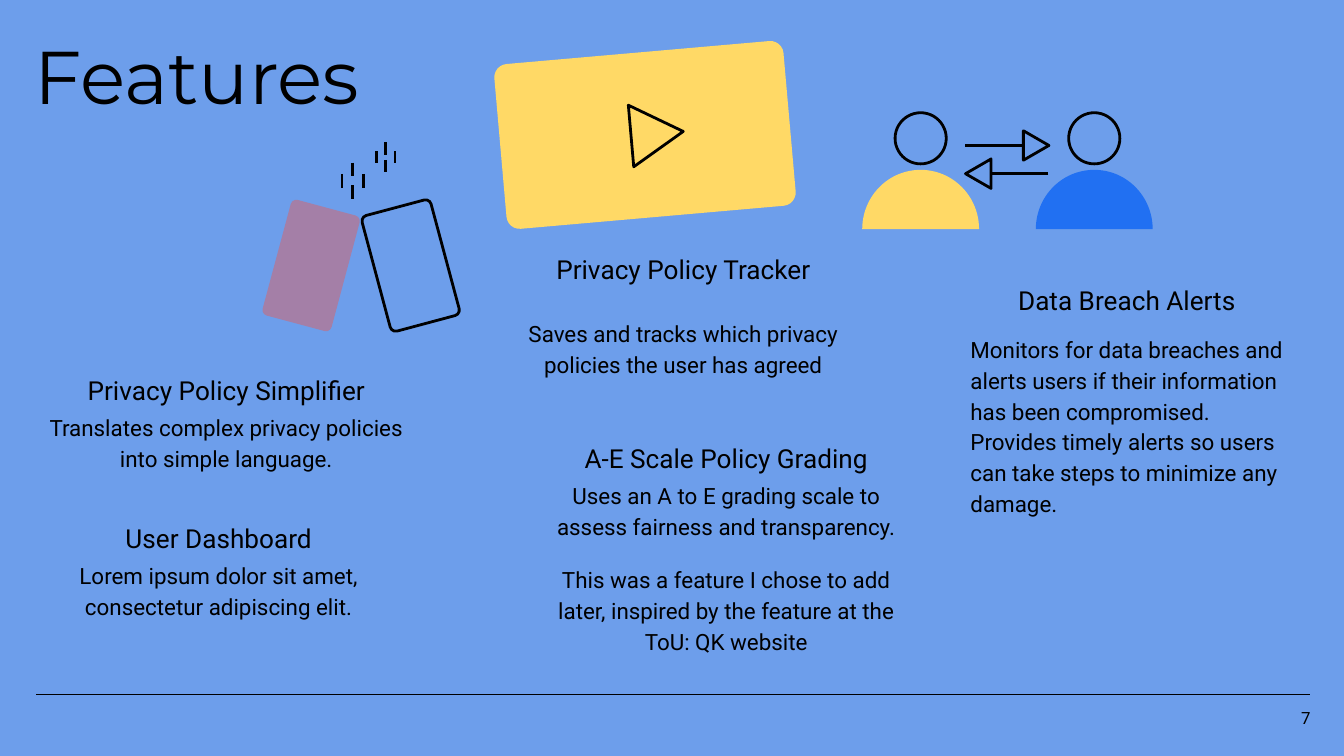
"""Build the Features slide with its captions and line icons."""
from lxml.etree import SubElement
from pptx import Presentation
from pptx.dml.color import RGBColor
from pptx.enum.shapes import MSO_CONNECTOR, MSO_SHAPE as Preset
from pptx.enum.text import MSO_ANCHOR as Anchor, PP_ALIGN as Align
from pptx.oxml.ns import qn
from pptx.util import Pt

SKY = RGBColor(0x6D, 0x9E, 0xEB)
BLACK = RGBColor(0x00, 0x00, 0x00)
YELLOW = RGBColor(0xFF, 0xD9, 0x66)
BLUE = RGBColor(0x21, 0x70, 0xF2)
MAUVE = RGBColor(0xA4, 0x7F, 0xA7)

COLUMN = 203.8
INSET = 7.2
STROKE = 1.5
CORNER = 0.08
PERSON_STEP = 93


def add_text(slide, box, *paragraphs, size=12, font="Roboto", align=Align.CENTER,
             anchor=Anchor.TOP, spacing=1.15, gap=12):
    left, top, width, height = map(Pt, box)
    frame = slide.shapes.add_textbox(left, top, width, height).text_frame
    frame.word_wrap = True
    frame.vertical_anchor = anchor
    frame.margin_left = frame.margin_right = Pt(INSET)
    frame.margin_top = frame.margin_bottom = Pt(INSET)
    for index, wording in enumerate(paragraphs):
        paragraph = frame.add_paragraph() if index else frame.paragraphs[0]
        paragraph.alignment = align
        paragraph.line_spacing = spacing
        paragraph.space_before = Pt(gap if index else 0)
        run = paragraph.add_run()
        run.text = wording
        run.font.size = Pt(size)
        run.font.name = font
        run.font.color.rgb = BLACK


def add_figure(slide, preset, box, fill=None, rotation=0, adjustments=()):
    figure = slide.shapes.add_shape(preset, *map(Pt, box))
    figure.shadow.inherit = False
    figure.rotation = rotation
    for index, value in enumerate(adjustments):
        figure.adjustments[index] = value
    if fill is None:
        figure.fill.background()
        figure.line.color.rgb = BLACK
        figure.line.width = Pt(STROKE)
    else:
        figure.fill.solid()
        figure.fill.fore_color.rgb = fill
        figure.line.fill.background()


def add_line(slide, start, end, width=STROKE):
    line = slide.shapes.add_connector(MSO_CONNECTOR.STRAIGHT, *map(Pt, (*start, *end)))
    line.line.color.rgb = BLACK
    line.line.width = Pt(width)
    SubElement(line._element.spPr, qn("a:effectLst"))


def add_feature(slide, left, top, heading, *details, detail_left=None, offset=21.6,
                detail_width=COLUMN, detail_align=Align.CENTER):
    add_text(slide, (left, top, COLUMN, 24.5), heading, size=14)
    detail_box = (left if detail_left is None else detail_left, top + offset, detail_width, 57.6)
    add_text(slide, detail_box, *details, align=detail_align)


def add_person(slide, left, color):
    add_figure(slide, Preset.PIE, (left, 91.4, 63.4, 62.6), color, 90, (54, 162))
    add_figure(slide, Preset.OVAL, (left + 18, 60.4, 27.4, 27.4))


def add_exchange_arrow(slide, tail, neck, y, head_left, rotation):
    add_line(slide, (tail, y), (neck, y))
    add_figure(slide, Preset.ISOSCELES_TRIANGLE, (head_left, y - 6.7, 15.8, 13.7),
               rotation=rotation, adjustments=(0.5,))


def add_sparkle(slide, center, top, dash, step, reach):
    side = top + step / 2
    for x, y in ((center, top), (center, top + step), (center - reach, side), (center + reach, side)):
        add_line(slide, (x, y), (x, y + dash))


def main():
    deck = Presentation()
    deck.slide_width, deck.slide_height = Pt(720), Pt(405)
    slide = deck.slides.add_slide(deck.slide_layouts[6])
    slide.background.fill.solid()
    slide.background.fill.fore_color.rgb = SKY

    add_line(slide, (19.4, 372), (702, 372), 0.75)
    add_text(slide, (666, 372.2, 43.2, 24.5), "7", size=9, align=Align.RIGHT,
             anchor=Anchor.MIDDLE, spacing=1)
    add_text(slide, (11.5, 14.4, 355, 62), "Features", size=40, font="Montserrat",
             align=Align.LEFT, spacing=0.9)

    add_feature(slide, 19.4, 190.8, "Privacy Policy Simplifier",
                "Translates complex privacy policies into simple language.")
    add_feature(slide, 264.2, 126, "Privacy Policy Tracker",
                "Saves and tracks which privacy policies the user has agreed", offset=36)
    add_feature(slide, 501.8, 142.4, "Data Breach Alerts",
                "Monitors for data breaches and alerts users if their information has been "
                "compromised. Provides timely alerts so users can take steps to minimize any damage.",
                detail_left=512.8, offset=28.2, detail_width=190, detail_align=Align.LEFT)
    add_feature(slide, 15.3, 270.2, "User Dashboard",
                "Lorem ipsum dolor sit amet, consectetur adipiscing elit.")
    add_feature(slide, 287.2, 227.5, "A-E Scale Policy Grading",
                "Uses an A to E grading scale to assess fairness and transparency.",
                "This was a feature I chose to add later, inspired by the feature at the ToU: QK website")

    add_figure(slide, Preset.ROUNDED_RECTANGLE, (267.8, 28, 155.5, 88.6), YELLOW, 355, (CORNER,))
    add_figure(slide, Preset.ISOSCELES_TRIANGLE, (335.5, 57.6, 33.1, 28.1), rotation=85)

    add_exchange_arrow(slide, 517, 547.9, 77.8, 547.2, 90)
    add_exchange_arrow(slide, 561.6, 530.6, 92.9, 516.2, 270)
    for index, color in enumerate((YELLOW, BLUE)):
        add_person(slide, 461.5 + index * PERSON_STEP, color)

    add_sparkle(slide, 189, 87.1, 7.4, 12.1, 5.8)
    add_sparkle(slide, 206.6, 76.3, 6.5, 9.4, 5)
    for left, rotation, fill in ((200.9, 345, None), (147.6, 15, MAUVE)):
        add_figure(slide, Preset.ROUNDED_RECTANGLE, (left, 110.2, 38.2, 64.1), fill, rotation, (CORNER,))

    deck.save("out.pptx")


if __name__ == "__main__":
    main()
